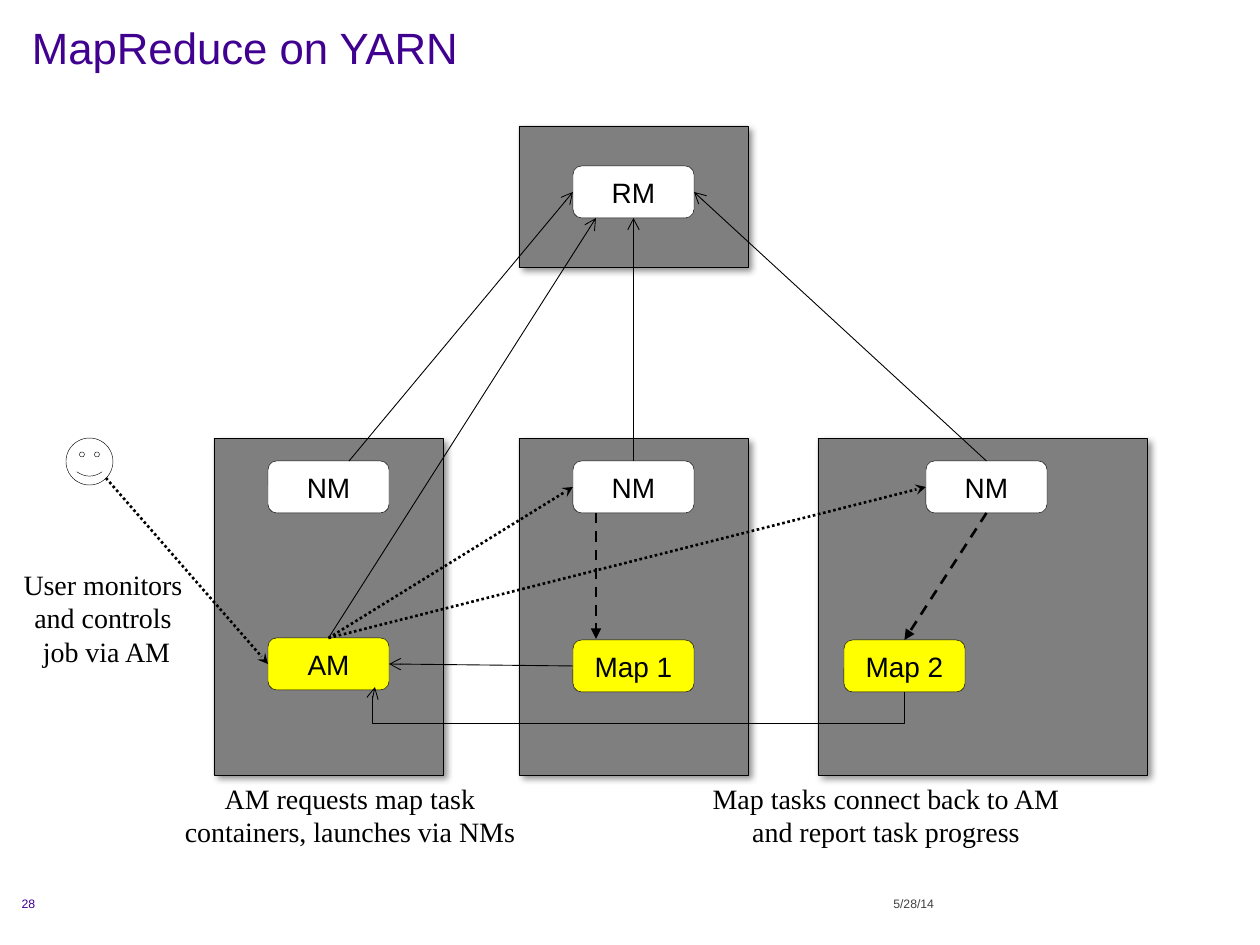
from lxml import etree
from pptx import Presentation
from pptx.dml.color import RGBColor
from pptx.enum.dml import MSO_LINE
from pptx.enum.shapes import MSO_CONNECTOR as CONN, MSO_SHAPE as SHAPE
from pptx.enum.text import MSO_ANCHOR as ANCHOR, PP_ALIGN as ALIGN
from pptx.oxml.ns import qn
from pptx.util import Emu, Pt

NODE_W, NODE_H = 121, 52
LABEL = {"name": "Arial", "size": Pt(16)}
CAPTION = {"name": "Times New Roman", "size": Pt(16)}
FOOTER = {"name": "Arial", "size": Pt(7)}
TITLE = {"name": "Arial", "size": Pt(25), "bold": False}
# dash style, width, arrowhead
CALL = (None, 0.5, "arrow")
CONTROL = (MSO_LINE.ROUND_DOT, 1.5, "stealth")
LAUNCH = (MSO_LINE.DASH, 1.5, "triangle")


def px(n):
    return Emu(round(n * 914400 / 126))


def rgb(value):
    return RGBColor.from_string(value)


def child(parent, tag, **attrs):
    return etree.SubElement(parent, qn(tag), **attrs)


def write(tf, lines, fmt, color="000000", align=ALIGN.CENTER):
    for i, line in enumerate(lines):
        p = tf.paragraphs[0] if i == 0 else tf.add_paragraph()
        p.text = line
        p.alignment = align
        for run in p.runs:
            for name, value in fmt.items():
                setattr(run.font, name, value)
            run.font.color.rgb = rgb(color)


def add_text(s, box, lines, fmt, color="000000", align=ALIGN.CENTER,
             anchor=ANCHOR.TOP, wrap=False):
    tf = s.shapes.add_textbox(*map(px, box)).text_frame
    tf.word_wrap = wrap
    tf.vertical_anchor = anchor
    write(tf, lines, fmt, color, align)


def add_box(s, kind, box, fill=None):
    sp = s.shapes.add_shape(kind, *map(px, box))
    sp.shadow.inherit = False
    if fill:
        sp.fill.solid()
        sp.fill.fore_color.rgb = rgb(fill)
    else:
        sp.fill.background()
    sp.line.color.rgb = rgb("000000")
    sp.line.width = Pt(0.25)
    return sp


def add_host(s, box, nodes):
    """Grey machine; nodes are (label, dx, dy, fill) from its corner."""
    sp = add_box(s, SHAPE.RECTANGLE, box, "7F7F7F")
    effects = sp._element.spPr.find(qn("a:effectLst"))
    shadow = child(effects, "a:outerShdw", blurRad=str(Pt(4)), dist=str(Pt(3)),
                   dir="2700000", algn="tl", rotWithShape="0")
    color = child(shadow, "a:srgbClr", val="000000")
    child(color, "a:alpha", val="43000")
    corners = []
    for label, dx, dy, fill in nodes:
        x, y = box[0] + dx, box[1] + dy
        node = add_box(s, SHAPE.ROUNDED_RECTANGLE, (x, y, NODE_W, NODE_H), fill)
        node.text_frame.vertical_anchor = ANCHOR.MIDDLE
        write(node.text_frame, [label], LABEL)
        corners.append((x, y))
    return corners


def site(corner, fx, fy):
    """Point at a fraction of a node's width and height."""
    return corner[0] + fx * NODE_W, corner[1] + fy * NODE_H


def add_arrow(s, start, end, style, kind=CONN.STRAIGHT):
    dash, width, head = style
    c = s.shapes.add_connector(kind, *map(px, (*start, *end)))
    c.line.color.rgb = rgb("000000")
    c.line.width = Pt(width)
    if dash:
        c.line.dash_style = dash
    child(c.line._get_or_add_ln(), "a:tailEnd", type=head)
    child(c._element.spPr, "a:effectLst")
    return c


def add_return_path(s, start, end, drop):
    """Elbow that leaves downwards, runs back and rises to its end."""
    c = add_arrow(s, start, end, CALL, CONN.ELBOW)
    run, rise = start[0] - end[0], start[1] - end[1]
    mid_x, mid_y = (start[0] + end[0]) / 2, (start[1] + end[1]) / 2
    c.left, c.top = px(mid_x - rise / 2), px(mid_y - run / 2)
    c.width, c.height = px(rise), px(run)
    xfrm = c._element.spPr.find(qn("a:xfrm"))
    xfrm.attrib.pop("flipV", None)
    xfrm.set("flipH", "1")
    xfrm.set("rot", "5400000")
    geom = c._element.spPr.find(qn("a:prstGeom"))
    geom.set("prst", "bentConnector4")
    guides = geom.find(qn("a:avLst"))
    for name, value in (("adj1", -drop / rise), ("adj2", 1.004)):
        child(guides, "a:gd", name=name, fmla=f"val {round(value * 100000)}")


def add_cluster(s):
    # Machines and their processes
    white, yellow = "FFFFFF", "FFFF00"
    [rm] = add_host(s, (519, 126, 229, 141), [("RM", 54, 40, white)])
    nm3, map2 = add_host(s, (818, 438, 329, 337),
                         [("NM", 108, 23, white), ("Map 2", 26, 202, yellow)])
    nm2, map1 = add_host(s, (519, 438, 229, 337),
                         [("NM", 54, 23, white), ("Map 1", 54, 202, yellow)])
    nm1, am = add_host(s, (214, 438, 229, 337),
                       [("NM", 54, 23, white), ("AM", 54, 200, yellow)])
    user = add_box(s, SHAPE.SMILEY_FACE, (66, 438, 47, 47))
    user_corner = (user.left / px(1) + 40, user.top / px(1) + 40)

    # Messages between them
    am_top = site(am, 0.5, 0)
    for start, end, style in (
        (site(nm2, 0.5, 0), site(rm, 0.5, 1), CALL),
        (site(nm1, 0.67, 0), site(rm, 0, 0.5), CALL),
        (site(nm3, 0.5, 0), site(rm, 1, 0.5), CALL),
        (am_top, site(rm, 0.19, 1), CALL),
        (am_top, site(nm2, 0, 0.5), CONTROL),
        (am_top, site(nm3, 0, 0.5), CONTROL),
        (site(map1, 0, 0.5), site(am, 1, 0.5), CALL),
        (site(nm2, 0.19, 1), site(nm2, 0.19, 3.42), LAUNCH),
        (site(nm3, 0.5, 1), site(map2, 0.5, 0), LAUNCH),
        (user_corner, site(am, 0, 0.5), CONTROL),
    ):
        add_arrow(s, start, end, style)
    add_return_path(s, site(map2, 0.5, 1), (375, 687), 31)


def add_captions(s):
    add_text(s, (89, 775, 522, 126),
             ["AM requests map task\vcontainers, launches via NMs"], CAPTION)
    add_text(s, (625, 775, 522, 126),
             ["Map tasks connect back to AM\vand report task progress"], CAPTION)
    add_text(s, (-8, 561, 222, 126),
             ["User monitors", "and controls", " job via AM"], CAPTION)


def add_title(s, box):
    title = s.shapes.title
    title.left, title.top, title.width, title.height = map(px, box)
    tf = title.text_frame
    for side in ("left", "top", "right", "bottom"):
        setattr(tf, f"margin_{side}", 0)
    tf.vertical_anchor = ANCHOR.TOP
    write(tf, ["MapReduce on YARN"], TITLE, "400090", ALIGN.LEFT)


def add_footer(s, top, height):
    add_text(s, (881, top, 166, height), ["5/28/14"], FOOTER, "404040",
             ALIGN.LEFT, ANCHOR.MIDDLE, True)
    add_text(s, (5, top, 47, height), ["28"], FOOTER, "400090",
             ALIGN.CENTER, ANCHOR.MIDDLE, True)


def main():
    prs = Presentation()
    prs.slide_width, prs.slide_height = px(1260), px(945)
    s = prs.slides.add_slide(prs.slide_layouts[5])
    add_title(s, (32, 21, 1174, 149))
    add_cluster(s)
    add_captions(s)
    add_footer(s, 879, 50)
    prs.save("out.pptx")


if __name__ == "__main__":
    main()
